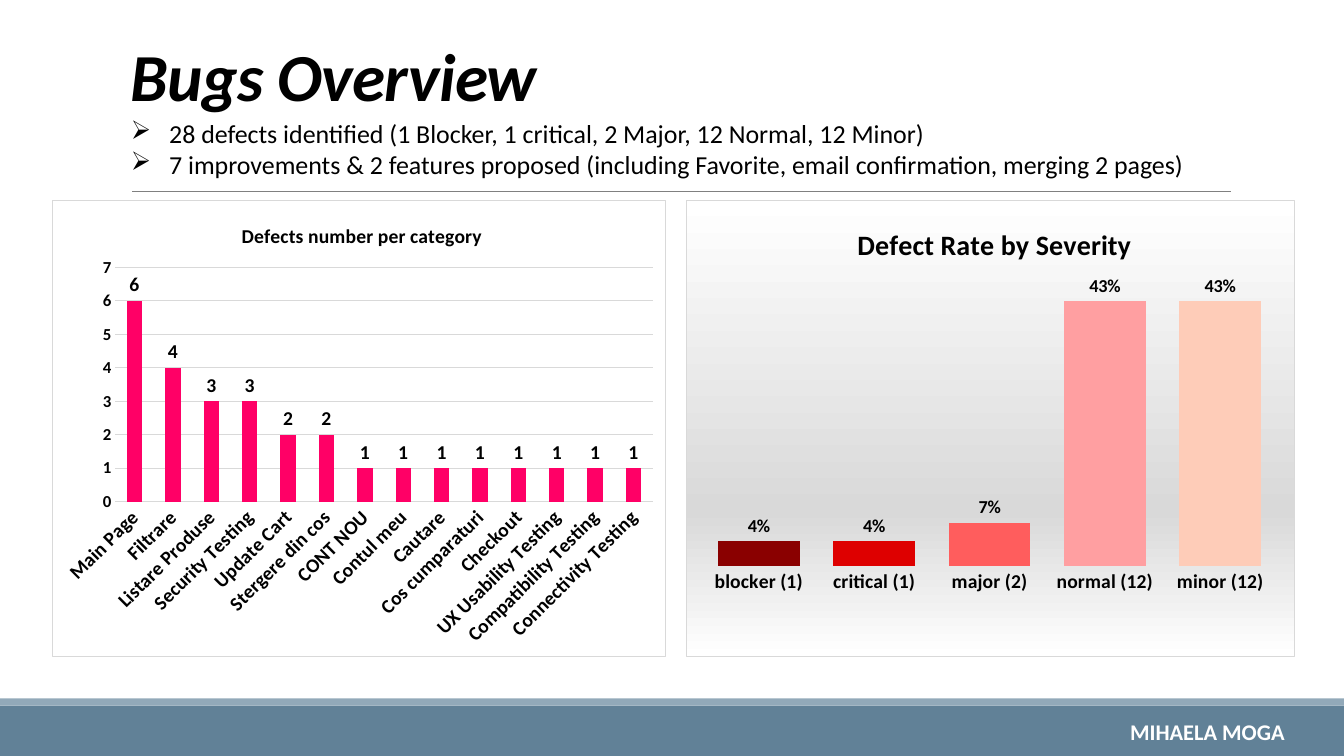
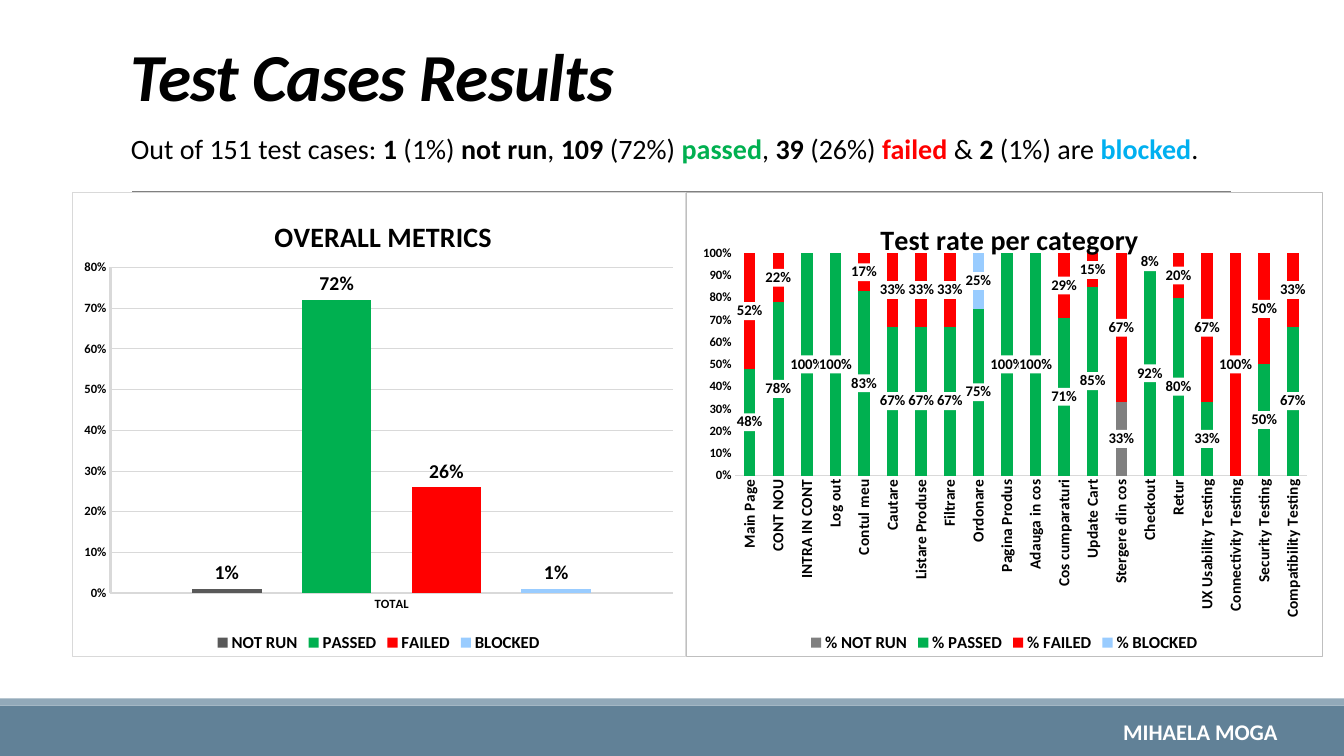
"""Build two slides on software test results, with shared bands, titles and chart style."""
from lxml.etree import SubElement
from pptx import Presentation
from pptx.chart.data import CategoryChartData
from pptx.dml.color import RGBColor
from pptx.enum.chart import XL_CHART_TYPE, XL_LABEL_POSITION, XL_LEGEND_POSITION, XL_TICK_MARK
from pptx.enum.shapes import MSO_CONNECTOR, MSO_SHAPE
from pptx.enum.text import MSO_ANCHOR, PP_ALIGN
from pptx.oxml import parse_xml
from pptx.oxml.ns import nsdecls, qn
from pptx.util import Inches, Pt

BLACK, WHITE, GRID = "000000", "FFFFFF", "D9D9D9"
GREEN, RED, BLUE, SKY = "00B050", "FF0000", "00B0F0", "99CCFF"


def style(font, size, color=BLACK, bold=False, italic=False):
    font.name, font.size, font.bold, font.italic = "Calibri", Pt(size), bold, italic
    font.color.rgb = RGBColor.from_string(color)


def write(para, text, spacing=None, **look):
    span = para.add_run()
    span.text = text
    style(span.font, **look)
    if spacing:
        span._r.get_or_add_rPr().set("spc", str(spacing))


defects = {
    "area": (0.52, 1.98, 6.09, 4.54), "plot": (1.14, 2.65, 5.34, 2.33),
    "title": ("Defects number per category", 14, 2.36, 2.17),
    "kind": XL_CHART_TYPE.COLUMN_CLUSTERED, "gap": 150, "overlap": 0,
    "categories": ["Main Page", "Filtrare", "Listare Produse", "Security Testing", "Update Cart",
                   "Stergere din cos", "CONT NOU", "Contul meu", "Cautare", "Cos cumparaturi",
                   "Checkout", "UX Usability Testing", "Compatibility Testing",
                   "Connectivity Testing"],
    "series": [("Series 1", "FF0066", [6, 4, 3, 3, 2, 2] + [1] * 8)],
    "format": "0", "label_size": 14, "category_size": 14, "value_size": 12,
    "maximum": 7, "step": 1, "grid": True, "rotation": -45,
}
severity = {
    "area": (6.8, 1.98, 6.04, 4.54), "plot": (6.95, 2.56, 5.73, 3.06),
    "title": ("Defect Rate by Severity", 20, 8.45, 2.18),
    "kind": XL_CHART_TYPE.COLUMN_CLUSTERED, "gap": 41, "overlap": 0,
    "categories": ["blocker (1)", "critical (1)", "major (2)", "normal (12)", "minor (12)"],
    "series": [("Series 1", "6F6F74", [0.04, 0.04, 0.07, 0.43, 0.43])],
    "point_colors": ["8A0000", "DE0000", "FF5D5D", "FF9FA1", "FECCB8"],
    "backdrop": [(0, WHITE), (68, GRID), (100, WHITE)],
    "format": "0%", "label_size": 13, "category_size": 14, "maximum": 0.5, "step": 0.1,
}
overall = {
    "area": (0.71, 1.9, 6.09, 4.62), "plot": (1.09, 2.65, 5.59, 3.24),
    "title": ("OVERALL METRICS", 20, 2.67, 2.1),
    "kind": XL_CHART_TYPE.COLUMN_CLUSTERED, "gap": 236, "overlap": -58,
    "categories": ["TOTAL"],
    "series": [("NOT RUN", "595959", [0.01]), ("PASSED", GREEN, [0.72]),
               ("FAILED", RED, [0.26]), ("BLOCKED", SKY, [0.01])],
    "format": "0%", "label_size": 14, "category_size": 9, "value_size": 9,
    "maximum": 0.8, "step": 0.1, "grid": True, "legend": True,
    "category_line": 1.25, "value_line": 2,
}
rates = {
    "area": (6.8, 1.9, 6.32, 4.62), "plot": (7.29, 2.51, 5.68, 2.21),
    "title": ("Test rate per category", 20, 8.68, 2.13),
    "kind": XL_CHART_TYPE.COLUMN_STACKED_100, "gap": 150, "overlap": 100,
    "categories": ["Main Page", "CONT NOU", "INTRA IN CONT", "Log out", "Contul meu", "Cautare",
                   "Listare Produse", "Filtrare", "Ordonare", "Pagina Produs", "Adauga in cos",
                   "Cos cumparaturi", "Update Cart", "Stergere din cos", "Checkout", "Retur",
                   "UX Usability Testing", "Connectivity Testing", "Security Testing",
                   "Compatibility Testing"],
    "series": [
        ("% NOT RUN", "808080", [0] * 13 + [0.33] + [0] * 6),
        ("% PASSED", GREEN, [0.48, 0.78, 1, 1, 0.83, 0.67, 0.67, 0.67, 0.75, 1, 1, 0.71, 0.85,
                             None, 0.92, 0.8, 0.33, 0, 0.5, 0.67]),
        ("% FAILED", RED, [0.52, 0.22, 0, 0, 0.17, 0.33, 0.33, 0.33, 0, 0, 0, 0.29, 0.15,
                           0.67, 0.08, 0.2, 0.67, 1, 0.5, 0.33]),
        ("% BLOCKED", SKY, [0] * 8 + [0.25] + [0] * 11)],
    "format": "0%;;;", "label_size": 10.5, "label_fill": WHITE,
    "category_size": 11, "value_size": 9, "maximum": 1, "step": 0.1, "rotation": -90,
    "legend": True, "category_line": 1, "border": "BFBFBF",
}
pages = [
    {"title": "Bugs Overview", "size": 18.5, "bullet": "➢", "footer_width": 8.81,
     "lines": [
         [("28 defects identified (1 Blocker, 1 critical, 2 Major, 12 Normal, 12 Minor)", {})],
         [("7 improvements & 2 features proposed (including Favorite, email confirmation, "
           "merging 2 pages)", {})]],
     "charts": [severity, defects]},
    {"title": "Test Cases Results", "size": 20, "bullet": None, "footer_width": 8.74,
     "lines": [[
         ("Out of 151 test cases: ", {}), ("1", {"bold": True}), (" (1%) ", {}),
         ("not run", {"bold": True}), (", ", {}), ("109", {"bold": True}), (" (72%) ", {}),
         ("passed", {"bold": True, "color": GREEN}), (", ", {}), ("39", {"bold": True}),
         (" (26%) ", {}), ("failed ", {"bold": True, "color": RED}), ("& ", {}),
         ("2", {"bold": True}), (" (1%) are ", {}),
         ("blocked", {"bold": True, "color": BLUE}), (".", {})]],
     "charts": [overall, rates]},
]

deck = Presentation()
deck.slide_width, deck.slide_height = Inches(13.33), Inches(7.5)

for content in pages:
    page = deck.slides.add_slide(deck.slide_layouts[6])
    for top, height, color in ((7, 0.5, "618197"), (6.93, 0.07, "92A9B9")):
        band = page.shapes.add_shape(MSO_SHAPE.RECTANGLE, 0, Inches(top),
                                     deck.slide_width, Inches(height))
        band.shadow.inherit = False
        band.fill.solid()
        band.fill.fore_color.rgb = RGBColor.from_string(color)
        band.line.fill.background()
    rule = page.shapes.add_connector(MSO_CONNECTOR.STRAIGHT, Inches(1.31), Inches(1.9),
                                     Inches(12.21), Inches(1.9))
    rule.line.color.rgb = RGBColor.from_string("808080")
    rule.line.width = Pt(0.5)
    SubElement(rule._element.spPr, qn("a:effectLst"))

    frames = []
    for area, anchor in (((1.2, 0.31, 11, 0.88), MSO_ANCHOR.BOTTOM),
                         ((1.2, 1.09, 11, 0.81), MSO_ANCHOR.MIDDLE),
                         ((4.03, 7.06, content["footer_width"], 0.4), MSO_ANCHOR.MIDDLE)):
        box = page.shapes.add_textbox(*map(Inches, area))
        box.text_frame.word_wrap = True
        box.text_frame.vertical_anchor = anchor
        frames.append(box.text_frame)
    heading, body, footer = frames
    heading.paragraphs[0].line_spacing = 0.85
    write(heading.paragraphs[0], content["title"], size=48, bold=True, italic=True, spacing=-50)
    footer.paragraphs[0].alignment = PP_ALIGN.RIGHT
    write(footer.paragraphs[0], "MIHAELA MOGA", size=16, color=WHITE, bold=True)
    for index, line in enumerate(content["lines"]):
        para = body.add_paragraph() if index else body.paragraphs[0]
        if content["bullet"]:
            properties = para._p.get_or_add_pPr()
            properties.set("marL", str(Inches(0.38)))
            properties.set("indent", str(Inches(-0.38)))
            SubElement(properties, qn("a:buChar")).set("char", content["bullet"])
        para.line_spacing = 0.9
        para.space_after = Pt(2)
        for text, look in line:
            write(para, text, size=content["size"], **look)

    for item in content["charts"]:
        left, top, width, height = item["area"]
        data = CategoryChartData()
        data.categories = item["categories"]
        for name, color, values in item["series"]:
            data.add_series(name, values)
        chart = page.shapes.add_chart(item["kind"], *map(Inches, item["area"]), data).chart
        style(chart.font, 10)
        root = chart.element

        if "backdrop" in item:
            stops = "".join(f'<a:gs pos="{stop * 1000}"><a:srgbClr val="{color}"/></a:gs>'
                            for stop, color in item["backdrop"])
            fill = f'<a:gradFill><a:gsLst>{stops}</a:gsLst><a:lin ang="5400000"/></a:gradFill>'
        else:
            fill = f'<a:solidFill><a:srgbClr val="{WHITE}"/></a:solidFill>'
        root.find(qn("c:txPr")).addprevious(parse_xml(
            f'<c:spPr {nsdecls("c", "a")}>{fill}<a:ln w="{Pt(0.75)}"><a:solidFill>'
            f'<a:srgbClr val="{item.get("border", GRID)}"/></a:solidFill></a:ln></c:spPr>'))

        title, size, title_left, title_top = item["title"]
        write(chart.chart_title.text_frame.paragraphs[0], title, size=size, bold=True)
        chart.chart_title.include_in_layout = False
        plot_left, plot_top, plot_width, plot_height = item["plot"]
        places = (
            ("c:title", {"x": (title_left - left) / width, "y": (title_top - top) / height}),
            ("c:plotArea", {"x": (plot_left - left) / width, "y": (plot_top - top) / height,
                            "w": plot_width / width, "h": plot_height / height}))
        for tag, place in places:
            parent = root.xpath(f"c:chart/{tag}")[0]
            for old in parent.findall(qn("c:layout")):
                parent.remove(old)
            target = '<c:layoutTarget val="inner"/>' if tag == "c:plotArea" else ""
            modes = "".join(f'<c:{key}Mode val="edge"/>' for key in "xy")
            sizes = "".join(f'<c:{key} val="{value:.4f}"/>' for key, value in place.items())
            layout = parse_xml(f'<c:layout {nsdecls("c")}><c:manualLayout>{target}{modes}{sizes}'
                               '</c:manualLayout></c:layout>')
            parent.insert(1 if tag == "c:title" else 0, layout)

        chart.has_legend = "legend" in item
        if chart.has_legend:
            chart.legend.position = XL_LEGEND_POSITION.BOTTOM
            chart.legend.include_in_layout = False
            style(chart.legend.font, 12, bold=True)

        for axis, part in ((chart.category_axis, "category"), (chart.value_axis, "value")):
            axis.major_tick_mark = axis.minor_tick_mark = XL_TICK_MARK.NONE
            style(axis.tick_labels.font, item.get(f"{part}_size", 10), bold=True)
            if f"{part}_line" in item:
                axis.format.line.color.rgb = RGBColor.from_string(GRID)
                axis.format.line.width = Pt(item[f"{part}_line"])
            else:
                axis.format.line.fill.background()
        if "rotation" in item:
            label_body = root.xpath(".//c:catAx/c:txPr/a:bodyPr")[0]
            label_body.set("rot", str(item["rotation"] * 60000))
            label_body.set("vert", "horz")
        scale = chart.value_axis
        scale.visible = "value_size" in item
        scale.minimum_scale, scale.maximum_scale = 0, item["maximum"]
        scale.major_unit = item["step"]
        scale.tick_labels.number_format = item["format"].split(";")[0]
        scale.tick_labels.number_format_is_linked = False
        scale.has_major_gridlines = "grid" in item
        if scale.has_major_gridlines:
            scale.major_gridlines.format.line.color.rgb = RGBColor.from_string(GRID)
            scale.major_gridlines.format.line.width = Pt(0.75)

        plot = chart.plots[0]
        plot.gap_width, plot.overlap = item["gap"], item["overlap"]
        plot.vary_by_categories = False
        for series, (name, color, values) in zip(plot.series, item["series"]):
            series.format.fill.solid()
            series.format.fill.fore_color.rgb = RGBColor.from_string(color)
            for index, point_color in enumerate(item.get("point_colors", [])):
                point_fill = series.points[index].format.fill
                point_fill.solid()
                point_fill.fore_color.rgb = RGBColor.from_string(point_color)
            labels = series.data_labels
            labels.show_value = True
            labels.number_format = item["format"]
            labels.number_format_is_linked = False
            style(labels.font, item["label_size"], bold=True)
            if item["kind"] == XL_CHART_TYPE.COLUMN_CLUSTERED:
                labels.position = XL_LABEL_POSITION.OUTSIDE_END
            if "label_fill" in item:
                labels._element.find(qn("c:txPr")).addprevious(parse_xml(
                    f'<c:spPr {nsdecls("c", "a")}><a:solidFill>'
                    f'<a:srgbClr val="{item["label_fill"]}"/></a:solidFill></c:spPr>'))

deck.save("out.pptx")
